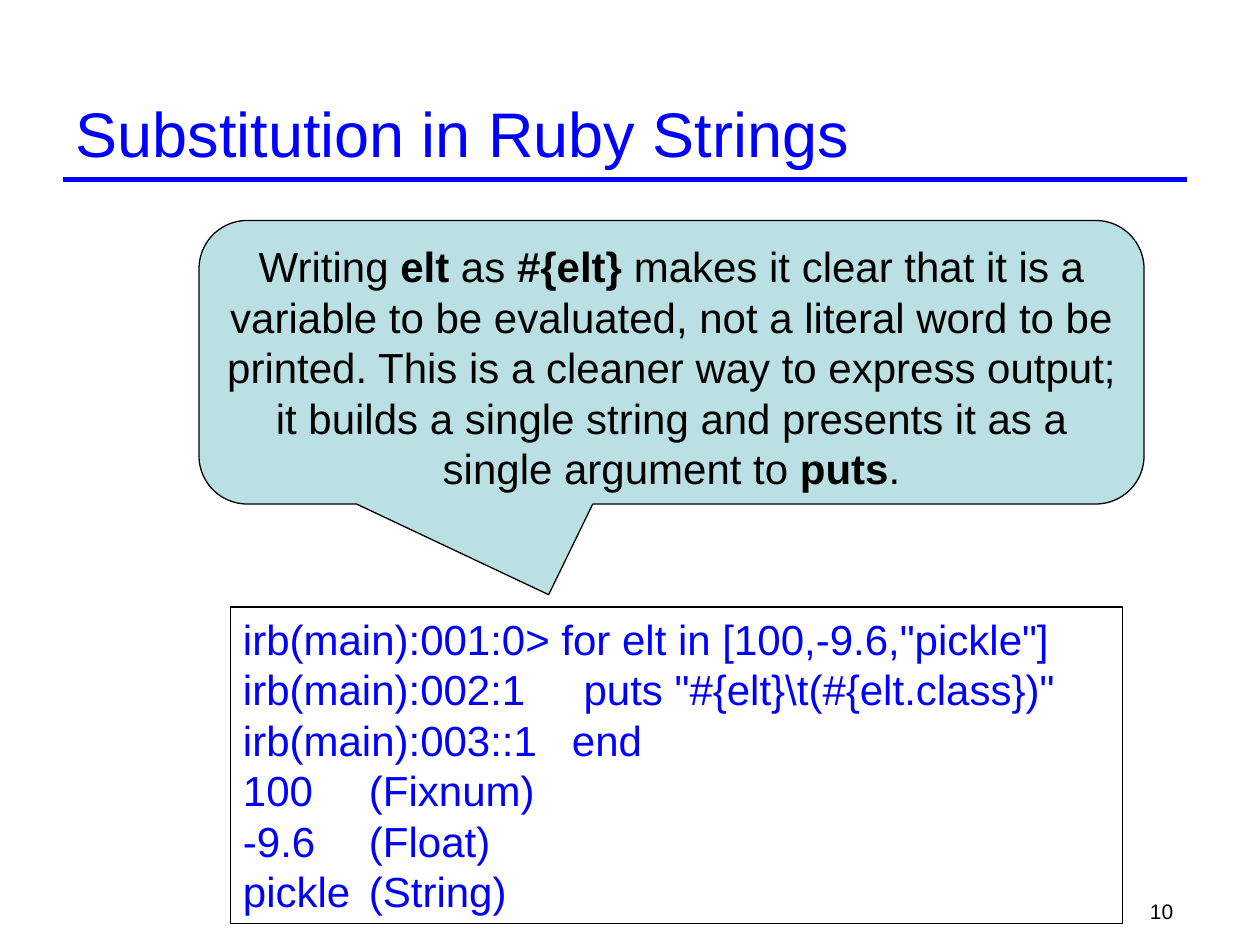
"""Build the slide on substitution in Ruby strings."""
from pptx import Presentation
from pptx.dml.color import RGBColor
from pptx.enum.shapes import MSO_CONNECTOR, MSO_SHAPE
from pptx.enum.text import MSO_ANCHOR, PP_ALIGN
from pptx.oxml.ns import qn
from pptx.util import Inches, Pt
from lxml.etree import SubElement

BLUE, BLACK, TEAL = "0000FF", "000000", "BBE0E3"
TITLE = "Substitution in Ruby Strings"
NOTE = [
    ("Writing ", False), ("elt", True), (" as ", False), ("#{elt}", True),
    (" makes it clear that it is a variable to be evaluated, not a literal "
     "word to be printed. This is a cleaner way to express output; it builds "
     "a single string and presents it as a single argument to ", False),
    ("puts", True), (".", False),
]
CODE = [
    'irb(main):001:0> for elt in [100,-9.6,"pickle"]',
    'irb(main):002:1     puts "#{elt}\\t(#{elt.class})"',
    "irb(main):003::1   end",
    "100\t(Fixnum)",
    "-9.6\t(Float)",
    "pickle\t(String)",
]
PAGE = "10"
WIDE, HIGH = 10, 7.5
LEFT, SPAN, RULE = 0.05 * WIDE, 0.892 * WIDE, 0.19 * HIGH


def color(code):
    return RGBColor.from_string(code)


def place(shape, *box):
    shape.left, shape.top, shape.width, shape.height = map(Inches, box)


def write(para, text, size, tint, bold=False):
    run = para.add_run()
    run.text = text
    font = run.font
    font.name, font.size, font.bold = "Arial", Pt(size), bold
    font.color.rgb = color(tint)


def panel(slide, kind, box, fill, width, align):
    shape = slide.shapes.add_shape(kind, *map(Inches, box))
    shape.shadow.inherit = False
    if fill:
        shape.fill.solid()
        shape.fill.fore_color.rgb = color(fill)
    else:
        shape.fill.background()
    shape.line.color.rgb = color(BLACK)
    shape.line.width = Pt(width)
    frame = shape.text_frame
    frame.word_wrap = True
    frame.vertical_anchor = MSO_ANCHOR.TOP
    frame.paragraphs[0].alignment = align
    return shape, frame.paragraphs[0]


def main():
    deck = Presentation()
    deck.slide_width, deck.slide_height = Inches(WIDE), Inches(HIGH)
    slide = deck.slides.add_slide(deck.slide_layouts[5])

    title = slide.shapes.title
    place(title, LEFT, RULE - 0.75, SPAN, 0.75)
    title.text_frame.vertical_anchor = MSO_ANCHOR.MIDDLE
    para = title.text_frame.paragraphs[0]
    para.alignment = PP_ALIGN.LEFT
    write(para, TITLE, 36, BLUE)

    ends = map(Inches, (LEFT, RULE, LEFT + SPAN, RULE))
    rule = slide.shapes.add_connector(MSO_CONNECTOR.STRAIGHT, *ends)
    rule.line.color.rgb = color(BLUE)
    rule.line.width = Pt(3)
    SubElement(rule._element.spPr, qn("a:effectLst"))

    note, para = panel(slide, MSO_SHAPE.ROUNDED_RECTANGULAR_CALLOUT,
                       (1.58, 1.75, 0.75 * WIDE, 0.3 * HIGH), TEAL, 0.75,
                       PP_ALIGN.CENTER)
    for spot, value in enumerate((-0.13, 0.82, 0.17)):
        note.adjustments[spot] = value
    for text, bold in NOTE:
        write(para, text, 24, BLACK, bold)

    _, para = panel(slide, MSO_SHAPE.RECTANGLE, (1.83, 4.82, 7.08, 2.51),
                    None, 1, PP_ALIGN.LEFT)
    for row, text in enumerate(CODE):
        if row:
            para.add_line_break()
        write(para, text, 24, BLUE)

    foot = slide.shapes.add_textbox(0, 0, 0, 0)
    place(foot, 7.33, 7.08, 2.08, 0.25)
    foot.text_frame.word_wrap = True
    para = foot.text_frame.paragraphs[0]
    para.alignment = PP_ALIGN.RIGHT
    write(para, PAGE, 12, BLACK)

    deck.save("out.pptx")


if __name__ == "__main__":
    main()
